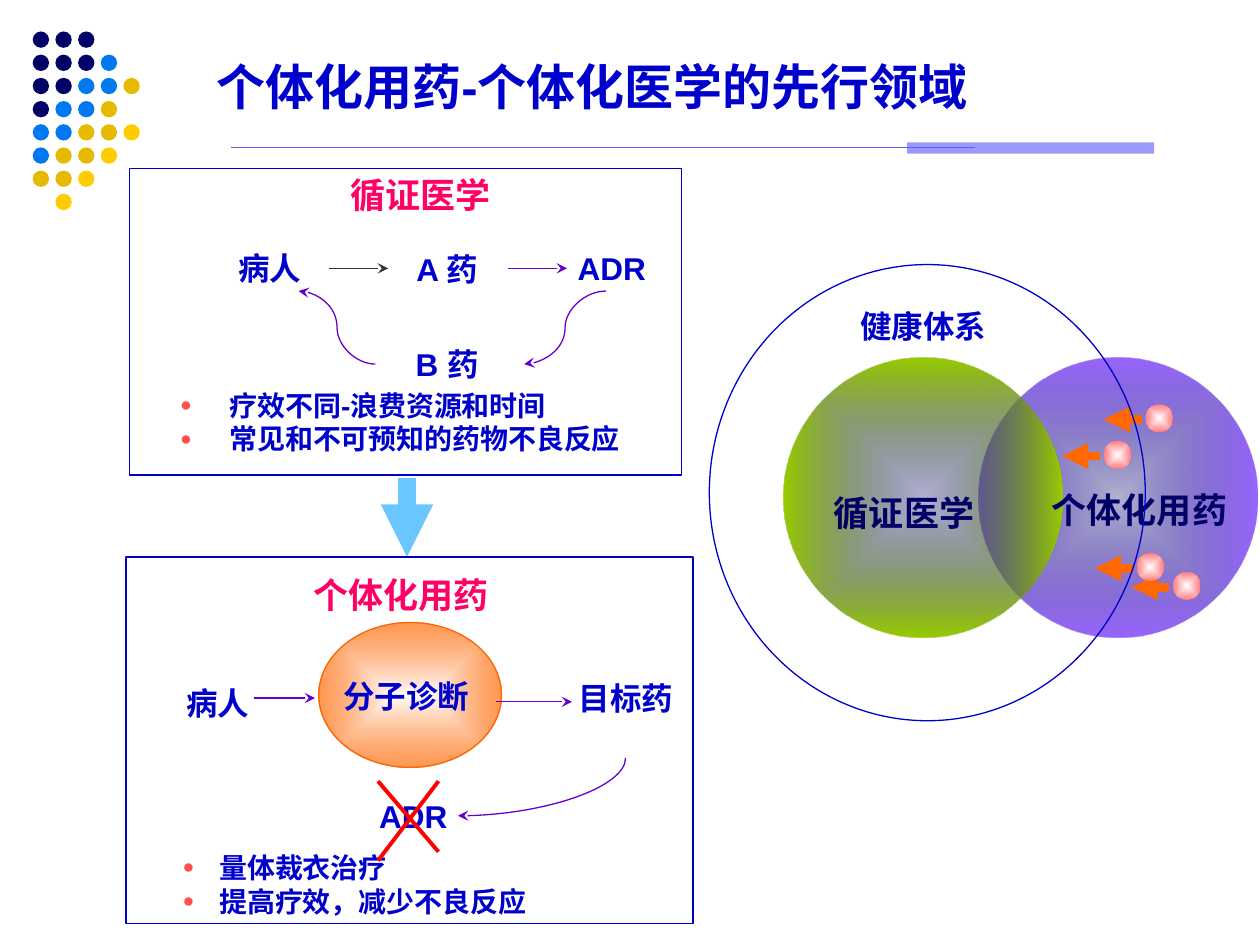
from lxml import etree
from pptx import Presentation
from pptx.dml.color import RGBColor
from pptx.enum.lang import MSO_LANGUAGE_ID
from pptx.enum.shapes import MSO_CONNECTOR, MSO_SHAPE
from pptx.enum.text import MSO_ANCHOR, MSO_AUTO_SIZE, PP_ALIGN
from pptx.oxml.ns import qn
from pptx.util import Inches, Pt

OVAL, RECT = MSO_SHAPE.OVAL, MSO_SHAPE.RECTANGLE
STRAIGHT, CURVE = MSO_CONNECTOR.STRAIGHT, MSO_CONNECTOR.CURVE
LEFT, CENTER, RIGHT = PP_ALIGN.LEFT, PP_ALIGN.CENTER, PP_ALIGN.RIGHT
TOP, MIDDLE = MSO_ANCHOR.TOP, MSO_ANCHOR.MIDDLE
FIXED = MSO_AUTO_SIZE.NONE
CHINESE = MSO_LANGUAGE_ID.SIMPLIFIED_CHINESE

BLUE = RGBColor(0x00, 0x00, 0xCC)
NAVY = RGBColor(0x00, 0x00, 0x66)
AZURE = RGBColor(0x00, 0x78, 0xF0)
GOLD = RGBColor(0xE6, 0xBA, 0x00)
YELLOW = RGBColor(0xFF, 0xCC, 0x00)
LAVENDER = RGBColor(0x99, 0x99, 0xFF)
PERIWINKLE = RGBColor(0x5D, 0x5D, 0xFF)
PINK = RGBColor(0xFF, 0x00, 0x66)
VIOLET = RGBColor(0x66, 0x00, 0xCC)
PURPLE = RGBColor(0x99, 0x66, 0xFF)
GREEN = RGBColor(0x99, 0xCC, 0x00)
CHARCOAL = RGBColor(0x33, 0x33, 0x33)
RED = RGBColor(0xFF, 0x00, 0x00)
CORAL = RGBColor(0xFF, 0x50, 0x50)
SALMON = RGBColor(0xFF, 0x7C, 0x80)
ORANGE = RGBColor(0xFF, 0x66, 0x00)
ARROW_ORANGE = RGBColor(0xFF, 0x68, 0x01)
SKY = RGBColor(0x69, 0xC6, 0xFF)
WHITE = RGBColor(0xFF, 0xFF, 0xFF)


class Board:
    """Holds the text style and the slide, and draws each kind of element."""

    font = "Arial"

    def __init__(self, slide):
        self.slide = slide

    def style(self, paragraph, size, color, align=LEFT):
        paragraph.alignment = align
        for run in paragraph.runs:
            run.font.name = self.font
            run.font.size = Pt(size)
            run.font.bold = True
            run.font.color.rgb = color
            run.font.language_id = CHINESE

    def place(self, index, box):
        holder = self.slide.placeholders[index]
        holder.left, holder.top, holder.width, holder.height = map(Inches, box)
        frame = holder.text_frame
        frame.auto_size = FIXED
        frame.vertical_anchor = TOP
        return frame

    def title(self, text, box):
        frame = self.place(0, box)
        frame.text = text
        self.style(frame.paragraphs[0], 28, BLUE)

    def bullets(self, index, items, box, indent):
        frame = self.place(index, box)
        frame.text = "\n".join(items)
        for paragraph in frame.paragraphs:
            properties = paragraph._p.get_or_add_pPr()
            properties.set("marL", str(Inches(indent)))
            properties.set("indent", str(-Inches(indent)))
            tint = etree.SubElement(properties, qn("a:buClr"))
            etree.SubElement(tint, qn("a:srgbClr"), val=str(CORAL))
            etree.SubElement(properties, qn("a:buSzPct"), val="70000")
            etree.SubElement(properties, qn("a:buFont"), typeface=self.font)
            etree.SubElement(properties, qn("a:buChar"), char="●")
            paragraph.space_before = Pt(0)
            self.style(paragraph, 16, BLUE)

    def shape(self, kind, box, fill=None, line=None):
        shape = self.slide.shapes.add_shape(kind, *map(Inches, box))
        shape.shadow.inherit = False
        if fill is None:
            shape.fill.background()
        else:
            shape.fill.solid()
            shape.fill.fore_color.rgb = fill
        if line is None:
            shape.line.fill.background()
        else:
            shape.line.color.rgb = line
            shape.line.width = Pt(0.75)
        return shape

    def glow(self, box, inner, outer, line=None):
        properties = self.shape(OVAL, box, line=line).element.spPr
        gradient = etree.Element(qn("a:gradFill"), rotWithShape="1")
        stops = etree.SubElement(gradient, qn("a:gsLst"))
        for position, (color, opacity) in ((0, inner), (100, outer)):
            stop = etree.SubElement(stops, qn("a:gs"), pos=str(position * 1000))
            tint = etree.SubElement(stop, qn("a:srgbClr"), val=str(color))
            if opacity < 100:
                etree.SubElement(tint, qn("a:alpha"), val=str(opacity * 1000))
        shade = etree.SubElement(gradient, qn("a:path"), path="shape")
        etree.SubElement(shade, qn("a:fillToRect"), l="50000", t="50000", r="50000", b="50000")
        properties.replace(properties.find(qn("a:noFill")), gradient)

    def node(self, text, box):
        frame = self.shape(OVAL, box).text_frame
        frame.word_wrap = False
        frame.vertical_anchor = MIDDLE
        frame.text = text
        self.style(frame.paragraphs[0], 18, BLUE, CENTER)

    def label(self, text, box, size, color, align=LEFT):
        frame = self.slide.shapes.add_textbox(*map(Inches, box)).text_frame
        frame.word_wrap = True
        frame.text = text
        self.style(frame.paragraphs[0], size, color, align)

    def link(self, start, end, color=VIOLET, width=0.75, head="stealth", kind=STRAIGHT):
        connector = self.slide.shapes.add_connector(kind, *map(Inches, start + end))
        connector.line.color.rgb = color
        connector.line.width = Pt(width)
        properties = connector.element.spPr
        if head:
            etree.SubElement(properties.find(qn("a:ln")), qn("a:tailEnd"), type=head)
        etree.SubElement(properties, qn("a:effectLst"))
        return connector

    def quarter_turn(self, start, end):
        bend = self.link(start, end, kind=CURVE)
        bend.element.spPr.find(qn("a:prstGeom")).set("prst", "curvedConnector2")
        bend.element.spPr.find(qn("a:xfrm")).set("rot", "5400000")


def main():
    deck = Presentation()
    deck.slide_width, deck.slide_height = Inches(10), Inches(7.5)
    board = Board(deck.slides.add_slide(deck.slide_layouts[3]))

    dot_colors = {"N": NAVY, "A": AZURE, "G": GOLD, "Y": YELLOW}
    dot_rows = ("NNN", "NNNA", "NNAAG", "NAAG", "AAGGY", "AGGY", "GGY", "-Y")
    dot_pitch = 0.18
    for row, codes in enumerate(dot_rows):
        for column, code in enumerate(codes):
            if code in dot_colors:
                spot = (0.26 + column * dot_pitch, 0.25 + row * 0.184, 0.13, 0.13)
                board.shape(OVAL, spot, dot_colors[code])
    board.shape(RECT, (7.2, 1.13, 1.96, 0.09), LAVENDER)
    board.link((1.83, 1.17), (7.74, 1.17), PERIWINKLE, head=None)
    board.title("个体化用药-个体化医学的先行领域", (1.62, 0.4, 7.72, 1.27))

    board.shape(RECT, (1.03, 1.34, 4.38, 2.43), line=BLUE)
    board.label("循证医学", (2.68, 1.33, 1.74, 0.43), 20, PINK)
    board.node("病人", (1.67, 1.77, 0.94, 0.71))
    board.node("A 药", (3.08, 1.7, 0.94, 0.87))
    board.node("ADR", (4.5, 1.77, 0.71, 0.71))
    board.node("B 药", (3.12, 2.49, 0.86, 0.79))
    board.link((2.61, 2.13), (3.08, 2.13), CHARCOAL)
    board.link((4.03, 2.13), (4.5, 2.13))
    board.link((4.81, 2.31), (4.16, 2.89), kind=CURVE)
    board.link((2.98, 2.89), (2.37, 2.31), kind=CURVE)
    board.bullets(1, ("疗效不同-浪费资源和时间", "常见和不可预知的药物不良反应"),
                  (1.33, 3.03, 3.83, 0.64), 0.39)

    board.link((3.23, 3.79), (3.23, 4.42), SKY, 10, "triangle")

    board.shape(RECT, (1, 4.42, 4.5, 2.91), line=BLUE)
    board.label("个体化用药", (2.39, 4.5, 2.03, 0.43), 20, PINK)
    board.glow((2.53, 4.94, 1.45, 1.15), (WHITE, 100), (ORANGE, 67), ORANGE)
    board.node("病人", (1.17, 5.22, 1.12, 0.71))
    board.node("分子诊断", (2.5, 5.05, 1.45, 0.94))
    board.node("目标药", (4.45, 5.07, 1.04, 0.94))
    board.node("ADR", (2.92, 6.12, 0.72, 0.71))
    board.link((2.02, 5.54), (2.5, 5.54))
    board.link((3.94, 5.57), (4.54, 5.57))
    board.quarter_turn((4.07, 5.58), (4.53, 6.91))
    board.link((3, 6.2), (3.48, 6.76), RED, 2.25, None)
    board.link((3.48, 6.2), (3, 6.83), RED, 2.25, None)
    board.bullets(2, ("量体裁衣治疗", "提高疗效，减少不良反应"), (1.35, 6.7, 4.81, 0.75), 0.29)

    for left, color in ((7.77, PURPLE), (6.22, GREEN)):
        board.glow((left, 2.84, 2.21, 2.22), (NAVY, 30), (color, 100))
    board.label("健康体系", (6.73, 2.39, 2.36, 0.4), 18, BLUE)
    board.label("循证医学", (6.32, 3.85, 1.51, 0.43), 20, NAVY, RIGHT)
    board.label("个体化用药", (8.25, 3.83, 1.67, 0.43), 20, NAVY)
    for left, top in ((9.09, 3.21), (8.76, 3.5), (9.31, 4.54), (9.02, 4.39)):
        board.glow((left, top, 0.22, 0.22), (WHITE, 100), (SALMON, 100))
        middle = top + 0.12
        board.link((left - 0.03, middle), (left - 0.33, middle), ARROW_ORANGE, 5, "triangle")
    board.shape(OVAL, (5.63, 2.1, 3.46, 3.62), line=BLUE)

    deck.save("out.pptx")


if __name__ == "__main__":
    main()
